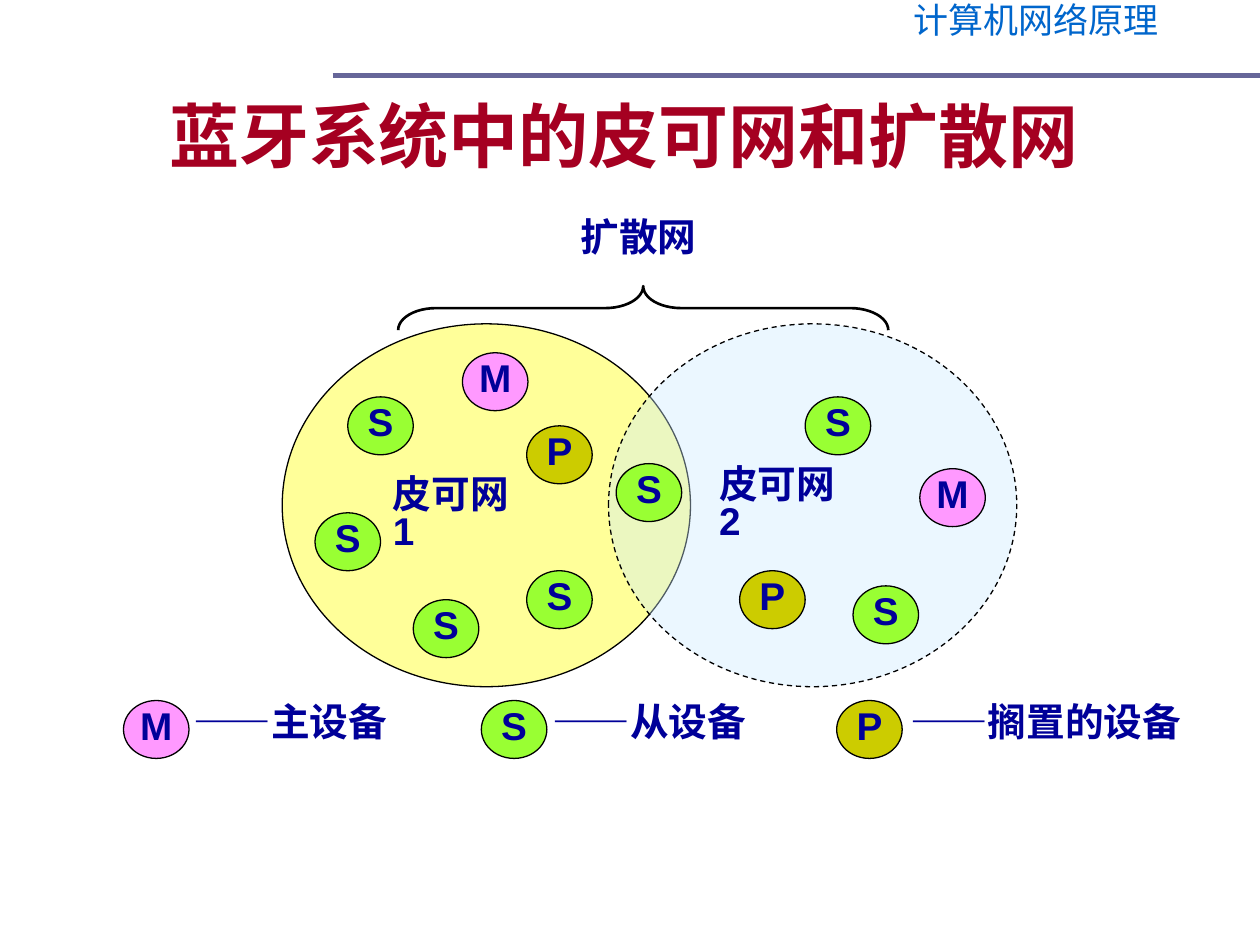
from pptx import Presentation
from pptx.dml.color import RGBColor
from pptx.enum.dml import MSO_LINE
from pptx.enum.shapes import MSO_CONNECTOR, MSO_SHAPE
from pptx.enum.text import MSO_ANCHOR, PP_ALIGN
from pptx.oxml.ns import qn
from pptx.util import Inches, Pt
from lxml.etree import SubElement

FONT = "Noto Sans CJK SC"
NAVY = "000099"
FILLS = {"M": "FF99FF", "S": "99FF33", "P": "CCCC00"}
TITLE = "蓝牙系统中的皮可网和扩散网"
HEAD = "计算机网络原理"
NETS = [(2.24, "FFFF99", None), (4.83, "CCECFF", 39)]
NODES = [
    ("M", 3.67, 2.8), ("M", 7.3, 3.72), ("S", 2.5, 4.07), ("S", 2.76, 3.15),
    ("P", 5.87, 4.53), ("S", 4.89, 3.68), ("S", 4.18, 4.53), ("S", 3.28, 4.76),
    ("S", 6.77, 4.65), ("S", 6.39, 3.15), ("P", 4.18, 3.38),
]
LABELS = [
    ("皮可网 2", 5.61, 3.67, 1.3, True),
    ("扩散网", 4.51, 1.71, 1.13, False),
    ("皮可网 1", 3.02, 3.75, 1.3, True),
]
KEYS = [
    ("M", 0.98, "——主设备", 1.44, 1.75),
    ("S", 3.82, "——从设备", 4.29, 1.75),
    ("P", 6.64, "——搁置的设备", 7.13, 2.37),
]
KEY_TOP = 5.56


def color(code):
    return RGBColor.from_string(code)


def write(shape, text, size=22.1, ink=NAVY, bold=True, face="Arial",
          align=PP_ALIGN.LEFT, anchor=MSO_ANCHOR.TOP, wrap=False, gap=0.8):
    frame = shape.text_frame
    frame.word_wrap = wrap
    frame.vertical_anchor = anchor
    para = frame.paragraphs[0]
    para.alignment = align
    para.line_spacing = gap
    run = para.add_run()
    run.text = text
    font = run.font
    font.size = Pt(size)
    font.bold = bold
    font.name = face
    font.color.rgb = color(ink)
    SubElement(font._element, qn("a:ea")).set("typeface", FONT)


def draw(slide, kind, left, top, width, height, fill=None, line=0.75):
    shape = slide.shapes.add_shape(
        kind, Inches(left), Inches(top), Inches(width), Inches(height))
    shape.shadow.inherit = False
    if fill:
        shape.fill.solid()
        shape.fill.fore_color.rgb = color(fill)
    else:
        shape.fill.background()
    shape.line.color.rgb = color("000000")
    shape.line.width = Pt(line)
    return shape


def node(slide, name, left, top):
    dot = draw(slide, MSO_SHAPE.OVAL, left, top, 0.52, 0.46, FILLS[name])
    write(dot, name, align=PP_ALIGN.CENTER, anchor=MSO_ANCHOR.MIDDLE)


def label(slide, text, left, top, width, height=0.4, **style):
    box = slide.shapes.add_textbox(
        Inches(left), Inches(top), Inches(width), Inches(height))
    write(box, text, **style)


def main():
    deck = Presentation()
    deck.slide_width, deck.slide_height = Inches(10), Inches(7.5)
    slide = deck.slides.add_slide(deck.slide_layouts[5])

    label(slide, HEAD, 6.73, 0, 2.99, 0.44, size=20, ink="0066CC",
          bold=False, face=FONT, align=PP_ALIGN.CENTER)
    rule = slide.shapes.add_connector(
        MSO_CONNECTOR.STRAIGHT, Inches(2.64), Inches(0.6), Inches(10), Inches(0.6))
    rule.line.color.rgb = color("666699")
    rule.line.width = Pt(3)
    SubElement(rule._element.spPr, qn("a:effectLst"))

    title = slide.shapes.title
    title.left, title.top = Inches(0.45), Inches(0.44)
    title.width, title.height = Inches(9), Inches(1.25)
    write(title, TITLE, size=40, ink="A50021", align=PP_ALIGN.CENTER,
          anchor=MSO_ANCHOR.MIDDLE, wrap=True, gap=1.0)

    for left, fill, alpha in NETS:
        net = draw(slide, MSO_SHAPE.OVAL, left, 2.57, 3.24, 2.88, fill)
        if alpha:
            tint = net._element.spPr.find(qn("a:solidFill"))[0]
            SubElement(tint, qn("a:alpha")).set("val", str(alpha * 1000))
            net.line.dash_style = MSO_LINE.DASH

    for name, left, top in NODES:
        node(slide, name, left, top)

    brace = draw(slide, MSO_SHAPE.RIGHT_BRACE, 4.93, 0.5, 0.35, 3.89, line=1.5)
    brace.rotation = 270
    brace.adjustments[0] = 0.86
    brace.adjustments[1] = 0.5

    for text, left, top, width, wrap in LABELS:
        label(slide, text, left, top, width, wrap=wrap)

    for name, spot, text, left, width in KEYS:
        node(slide, name, spot, KEY_TOP)
        label(slide, text, left, KEY_TOP, width)

    deck.save("out.pptx")


if __name__ == "__main__":
    main()
